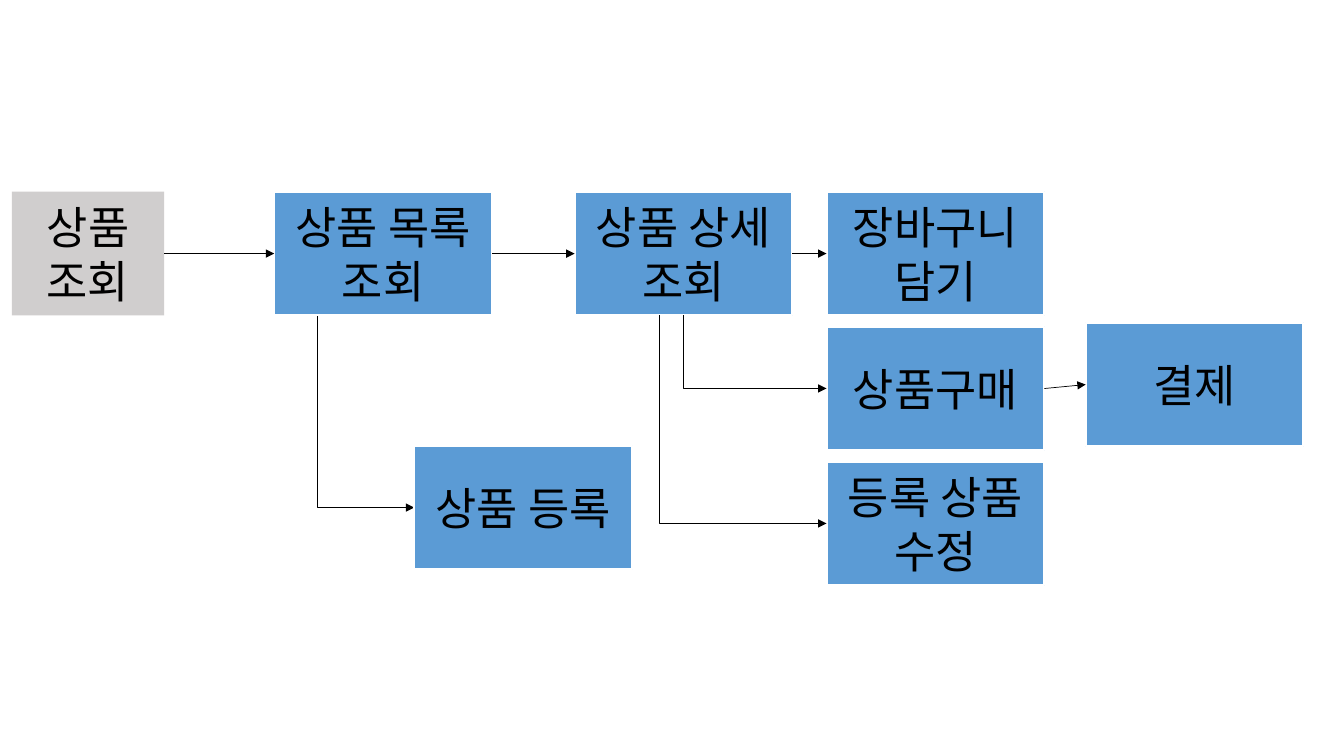
from collections import namedtuple

from lxml import etree
from pptx import Presentation
from pptx import util as u
from pptx.dml.color import RGBColor
from pptx.enum import shapes, text
from pptx.oxml import ns

BLACK = RGBColor(0x00, 0x00, 0x00)
WHITE = RGBColor(0xFF, 0xFF, 0xFF)
GREY = RGBColor(0xD0, 0xCE, 0xCE)
BLUE = RGBColor(0x5B, 0x9B, 0xD5)
FONT = "Noto Sans CJK KR"

Box = namedtuple("Box", "label left top width height fill border")
ROW_TOP, ROW_STEP = 4.83, 3.4
STEP_WIDTH, STEP_HEIGHT = 5.49, 3.12


def step(label, left, top):
    return Box(label, left, top, STEP_WIDTH, STEP_HEIGHT, BLUE, WHITE)


BOXES = {
    "start": Box("상품 조회", 0.3, ROW_TOP, 3.84, STEP_HEIGHT, GREY, None),
    "list": step("상품 목록 조회", 6.91, ROW_TOP),
    "detail": step("상품 상세 조회", 14.48, ROW_TOP),
    "register": step("상품 등록", 10.44, 11.23),
    "cart": step("장바구니 담기", 20.83, ROW_TOP),
    "edit": step("등록 상품 수정", 20.83, ROW_TOP + 2 * ROW_STEP),
    "buy": step("상품구매", 20.83, ROW_TOP + ROW_STEP),
    "pay": step("결제", 27.36, 8.13),
}
STRAIGHT = [("start", "list"), ("list", "detail"), ("detail", "cart"), ("buy", "pay")]


def add_box(page, box):
    lengths = [u.Cm(value) for value in (box.left, box.top, box.width, box.height)]
    shape = page.shapes.add_shape(shapes.MSO_SHAPE.RECTANGLE, *lengths)
    shape.shadow.inherit = False
    shape.fill.solid()
    shape.fill.fore_color.rgb = box.fill
    if box.border is None:
        shape.line.fill.background()
    else:
        shape.line.color.rgb = box.border
        shape.line.width = u.Pt(1.5)
    frame = shape.text_frame
    for name, value in {"word_wrap": True, "vertical_anchor": text.MSO_ANCHOR.MIDDLE}.items():
        setattr(frame, name, value)
    para = frame.paragraphs[0]
    para.alignment = text.PP_ALIGN.CENTER
    span = para.add_run()
    span.text = box.label
    for name, value in {"size": u.Pt(32), "name": FONT}.items():
        setattr(span.font, name, value)
    span.font.color.rgb = BLACK
    east_asian = etree.SubElement(span.font._element, ns.qn("a:ea"))
    east_asian.set("typeface", FONT)
    return shape


def add_arrow(page, kind, start, end):
    """Draw a thin black connector with a triangle at its end; points are in cm."""
    points = [u.Cm(value) for value in (*start, *end)]
    arrow = page.shapes.add_connector(kind, *points)
    arrow.line.color.rgb = BLACK
    arrow.line.width = u.Pt(0.5)
    head = etree.SubElement(arrow.line._get_or_add_ln(), ns.qn("a:tailEnd"))
    head.set("type", "triangle")
    etree.SubElement(arrow._element.spPr, ns.qn("a:effectLst"))
    return arrow


def add_branch(page, source, target, offset, depth):
    """Run down from a point inside the source box, then right to the target box."""
    start = source.left + offset, source.top + depth
    end = target.left, target.top + target.height / 2
    arrow = add_arrow(page, shapes.MSO_CONNECTOR.ELBOW, start, end)
    adjustments = arrow._element.spPr.find(ns.qn("a:prstGeom")).get_or_add_avLst()
    guide = etree.SubElement(adjustments, ns.qn("a:gd"))
    guide.set("name", "adj1")
    guide.set("fmla", "val 0")


def add_link(page, source, target, drawn):
    """Join the right side of one box to the left side of the next."""
    first, second = BOXES[source], BOXES[target]
    start = first.left + first.width, first.top + first.height / 2
    end = second.left, second.top + second.height / 2
    arrow = add_arrow(page, shapes.MSO_CONNECTOR.STRAIGHT, start, end)
    arrow.begin_connect(drawn[source], 3)
    arrow.end_connect(drawn[target], 1)


def add_flow(page):
    add_branch(page, BOXES["list"], BOXES["register"], 1.09, STEP_HEIGHT / 2)
    drawn = {key: add_box(page, box) for key, box in BOXES.items()}
    for source, target in STRAIGHT:
        add_link(page, source, target, drawn)
    for target, offset in (("edit", 2.14), ("buy", 2.74)):
        add_branch(page, BOXES["detail"], BOXES[target], offset, STEP_HEIGHT)


def main():
    deck = Presentation()
    deck.slide_width, deck.slide_height = u.Cm(33.87), u.Cm(19.05)
    add_flow(deck.slides.add_slide(deck.slide_layouts[6]))
    deck.save("out.pptx")


if __name__ == "__main__":
    main()
